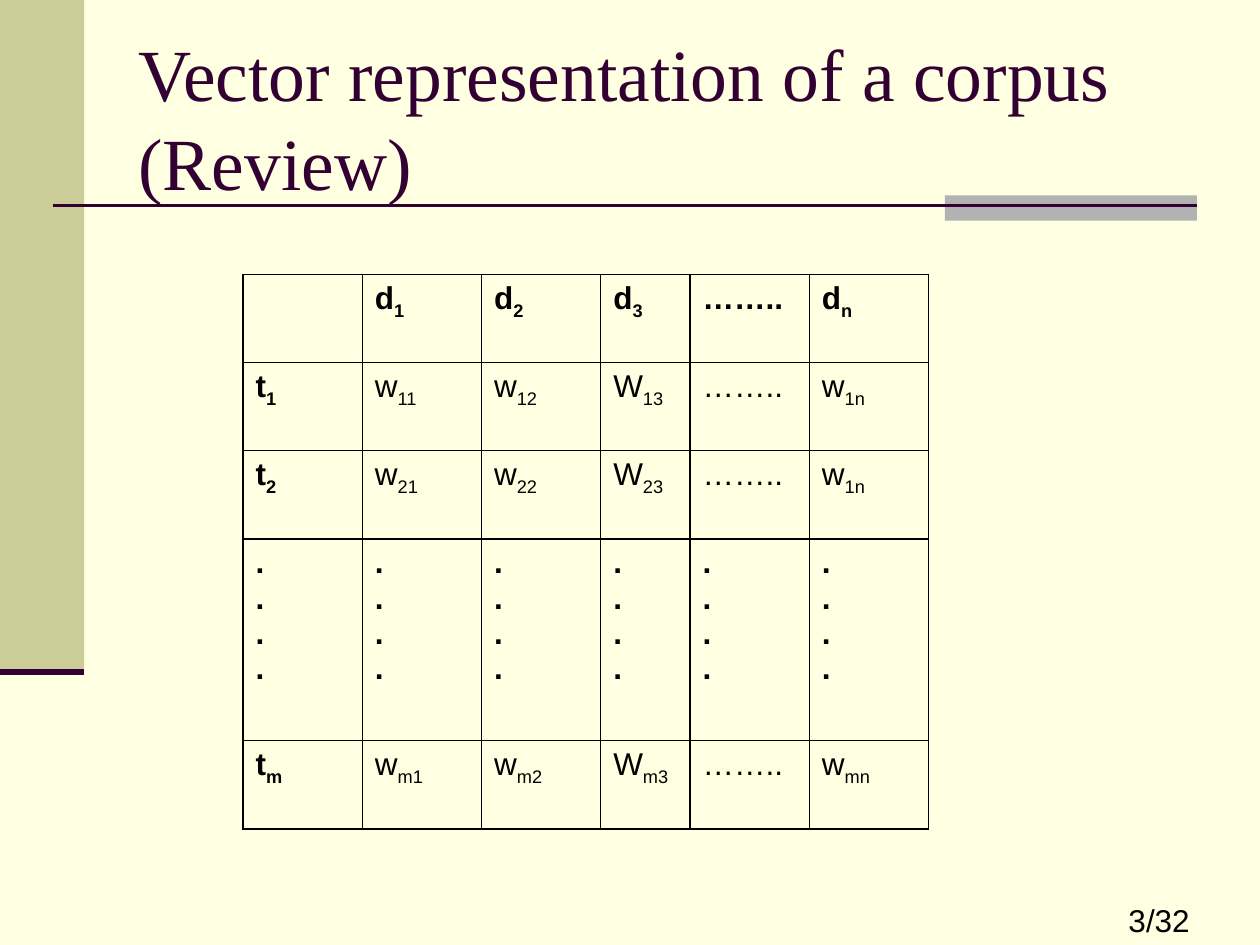
from collections import namedtuple

from lxml import etree
from pptx import Presentation
from pptx.dml.color import RGBColor
from pptx.enum.shapes import MSO_CONNECTOR, MSO_SHAPE
from pptx.enum.text import MSO_ANCHOR
from pptx.oxml.ns import qn
from pptx.util import Cm, Pt

RECTANGLE = MSO_SHAPE.RECTANGLE
STRAIGHT = MSO_CONNECTOR.STRAIGHT
MIDDLE = MSO_ANCHOR.MIDDLE
TOP = MSO_ANCHOR.TOP

COLORS = {
    "background": "FFFFE1",
    "band": "CCCC99",
    "accent": "B2B2B2",
    "title": "330033",
    "text": "000000",
}

# Lengths in centimetres
Box = namedtuple("Box", "left top width height")
SIDEBAR = Box(0, 0, 1.7, 13.54)
HEADER = Box(1.06, 0.76, 23.07, 3.69)
MATRIX = Box(4.9, 5.53, 13.82, 11.18)
PAGE_NUMBER = Box(22.5, 18.03, 2.9, 1.02)

COLUMN_SHARES = [4, 4, 4, 3, 4, 4]
ROW_SHARES = [7, 7, 7, 16, 7]
ELLIPSIS = "…….."
DOTS = "\n".join("....")
# Each entry is a symbol, with its subscript after an underscore
MATRIX_ROWS = [
    ["", "d_1", "d_2", "d_3", ELLIPSIS, "d_n"],
    ["t_1", "w_11", "w_12", "W_13", ELLIPSIS, "w_1n"],
    ["t_2", "w_21", "w_22", "W_23", ELLIPSIS, "w_1n"],
    [DOTS] * 6,
    ["t_m", "w_m1", "w_m2", "W_m3", ELLIPSIS, "w_mn"],
]


def color(name):
    return RGBColor.from_string(COLORS[name])


def style_font(font, name, size, color_name, bold=False):
    font.name = name
    font.size = Pt(size)
    font.bold = bold
    font.color.rgb = color(color_name)


def add_rectangle(page, box, fill):
    shape = page.shapes.add_shape(RECTANGLE, *map(Cm, box))
    shape.shadow.inherit = False
    shape.fill.solid()
    shape.fill.fore_color.rgb = color(fill)
    shape.line.fill.background()


def add_rule(page, left, top, width, weight):
    rule = page.shapes.add_connector(
        STRAIGHT, Cm(left), Cm(top), Cm(left + width), Cm(top))
    rule.line.color.rgb = color("title")
    rule.line.width = Pt(weight)
    etree.SubElement(rule._element.spPr, qn("a:effectLst"))


def add_text(page, box, text, font_name, size, color_name, anchor=TOP):
    frame = page.shapes.add_textbox(*map(Cm, box)).text_frame
    frame.word_wrap = True
    frame.vertical_anchor = anchor
    frame.text = text
    style_font(frame.paragraphs[0].runs[0].font, font_name, size, color_name)


def draw_sidebar(page, box):
    add_rectangle(page, box, "band")
    add_rule(page, box.left, box.top + box.height, box.width, 3.5)


def draw_header(page, box):
    accent_width, accent_height = 5.08, 0.51
    accent = Box(box.left + box.width - accent_width,
                 box.top + box.height - accent_height,
                 accent_width, accent_height)
    add_rectangle(page, accent, "accent")
    add_rule(page, box.left, accent.top + 0.2, box.width, 1.5)
    title = Box(box.left + 1.48, box.top, box.width - 1.48, accent.top - box.top)
    add_text(page, title, "Vector representation of a corpus (Review)",
             "Times New Roman", 42, "title", MIDDLE)


def add_cell_borders(cell):
    properties = cell._tc.get_or_add_tcPr()
    for position, side in enumerate(("a:lnL", "a:lnR", "a:lnT", "a:lnB")):
        line = etree.Element(qn(side), w=str(Pt(1)))
        fill = etree.SubElement(line, qn("a:solidFill"))
        etree.SubElement(fill, qn("a:srgbClr"), val=COLORS["text"])
        properties.insert(position, line)


def fill_cell(cell, entry, bold):
    """Write a symbol and its subscript into a bordered cell without fill."""
    cell.fill.background()
    add_cell_borders(cell)
    symbol, _, subscript = entry.partition("_")
    cell.text_frame.text = symbol
    if subscript:
        span = cell.text_frame.paragraphs[0].add_run()
        span.text = subscript
        span._r.get_or_add_rPr().set("baseline", "-25000")
    for para in cell.text_frame.paragraphs:
        for span in para.runs:
            style_font(span.font, "Arial", 18, "text", bold)


def draw_matrix(page, box):
    table = page.shapes.add_table(
        len(ROW_SHARES), len(COLUMN_SHARES), *map(Cm, box)).table
    table.first_row = False
    table.horz_banding = False
    for column, share in zip(table.columns, COLUMN_SHARES):
        column.width = Cm(box.width * share / sum(COLUMN_SHARES))
    for row, share in zip(table.rows, ROW_SHARES):
        row.height = Cm(box.height * share / sum(ROW_SHARES))
    for r, entries in enumerate(MATRIX_ROWS):
        for c, entry in enumerate(entries):
            bold = r == 0 or c == 0 or entry == DOTS
            fill_cell(table.cell(r, c), entry, bold)


def main():
    deck = Presentation()
    deck.slide_width, deck.slide_height = Cm(25.4), Cm(19.05)
    page = deck.slides.add_slide(deck.slide_layouts[6])
    page.background.fill.solid()
    page.background.fill.fore_color.rgb = color("background")
    draw_sidebar(page, SIDEBAR)
    draw_header(page, HEADER)
    add_text(page, PAGE_NUMBER, "3/32", "Arial", 18, "text")
    draw_matrix(page, MATRIX)
    deck.save("out.pptx")


if __name__ == "__main__":
    main()
